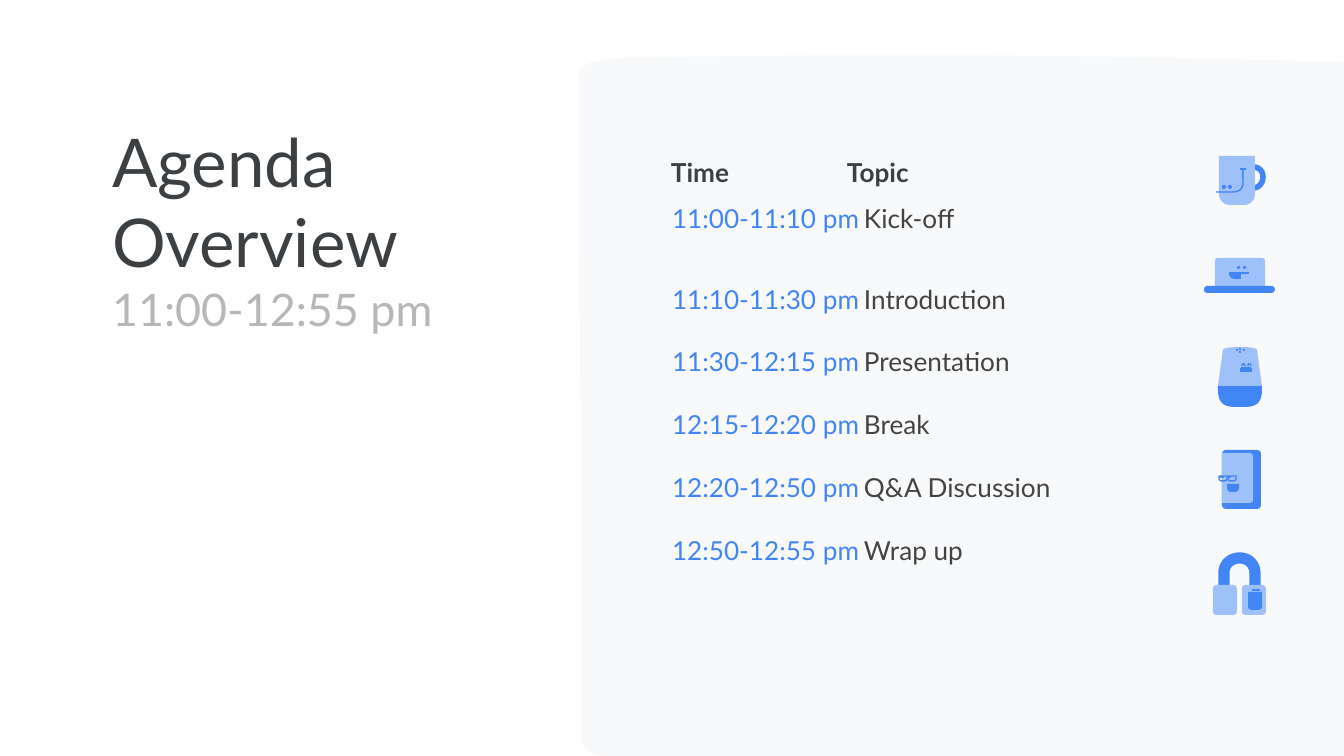
from dataclasses import dataclass

from lxml.etree import SubElement
from pptx import Presentation
from pptx.dml.color import RGBColor
from pptx.enum.shapes import MSO_CONNECTOR as Connector, MSO_SHAPE as Preset
from pptx.enum.text import MSO_ANCHOR as Anchor, MSO_AUTO_SIZE as AutoSize, PP_ALIGN as Align
from pptx.oxml.ns import qn
from pptx.util import Emu, Pt

EMU_PER_PX = 914400 / 134.4
FONT = "Lato"
PLAIN_TABLE = "{2D5ABB26-0587-4C30-8999-92F81FD0307C}"
CURVE_STEPS = 12
COLORS = {
    "panel": "F8F9FA",
    "heading": "3C4043",
    "subtitle": "B7B7B7",
    "blue": "4285F4",
    "light": "9FC1F9",
    "topic": "434343",
}


@dataclass(frozen=True)
class Part:
    preset: Preset
    box: tuple[int, int, int, int]
    color: str = "blue"
    corners: tuple[float, ...] = ()
    stroke: float = 0


@dataclass(frozen=True)
class Outline:
    start: tuple[int, int]
    segments: tuple[tuple[int, ...], ...]
    color: str = "blue"
    stroke: float = 0


@dataclass(frozen=True)
class Rule:
    start: tuple[int, int]
    end: tuple[int, int]


@dataclass(frozen=True)
class AgendaRow:
    height: int
    times: tuple[str, ...]
    topics: tuple[str, ...]
    top: int = 0


PANEL = Outline((579, 86), (
    (579, 74, 580, 70, 582, 69), (588, 60, 604, 59, 628, 58),
    (720, 56, 813, 55, 905, 55), (1048, 55, 1191, 58, 1335, 62),
    (1342, 62, 1348, 65, 1348, 70), (1348, 290, 1354, 530, 1357, 750),
    (1358, 758, 1353, 763, 1341, 763), (606, 757,),
    (595, 756, 582, 750, 582, 742), (582, 548), (579, 227),
), "panel")

MUG = (
    Outline((1253, 167), ((1259, 167, 1263, 171, 1263, 177),
                          (1263, 183, 1259, 188, 1253, 188)), stroke=3),
    Part(Preset.ROUND_2_SAME_RECTANGLE, (1219, 156, 36, 49), "light", (0, 0.3)),
    Part(Preset.OVAL, (1228, 185, 4, 4)),
    Part(Preset.OVAL, (1222, 185, 4, 4)),
    Outline((1216, 192), ((1232, 192), (1245, 192, 1243, 183, 1243, 177),
                          (1243, 169)), stroke=0.75),
    Rule((1246, 169), (1240, 169)),
)
LAPTOP = (
    Part(Preset.ROUND_2_SAME_RECTANGLE, (1215, 258, 50, 28), "light", (0.1, 0)),
    Part(Preset.ROUNDED_RECTANGLE, (1204, 286, 71, 7), corners=(0.5,)),
    Part(Preset.OVAL, (1243, 266, 3, 3)),
    Part(Preset.OVAL, (1237, 266, 3, 3)),
    Rule((1249, 273), (1229, 273)),
    Outline((1235, 273), ((1229, 273), (1229, 277, 1232, 279, 1235, 279), (1235, 273))),
    Part(Preset.RECTANGLE, (1235, 273, 6, 6)),
)
SPEAKER = (
    Outline((1218, 386), ((1218, 390), (1218, 408, 1230, 407, 1240, 407),
                          (1250, 407, 1262, 408, 1262, 390), (1262, 386), (1218, 386))),
    Outline((1240, 347), ((1231, 347, 1223, 348, 1223, 350), (1218, 386), (1262, 386),
                          (1257, 350), (1257, 348, 1249, 347, 1240, 347)), "light"),
    *(Part(Preset.OVAL, (x, y, 2, 2))
      for x, y in ((1239, 348), (1243, 349), (1236, 349), (1239, 351))),
    Part(Preset.ROUND_2_SAME_RECTANGLE, (1240, 367, 12, 5), corners=(0.5, 0)),
    *(Outline((x, 366), ((x, 363, x + 3, 363, x + 3, 366),), stroke=0.75)
      for x in (1242, 1248)),
)
NOTEBOOK = (
    Part(Preset.ROUNDED_RECTANGLE, (1222, 450, 39, 59), corners=(0.1,)),
    Outline((1222, 453), ((1222, 503), (1249, 503), (1251, 503, 1253, 502, 1253, 500),
                          (1253, 457), (1253, 454, 1251, 453, 1249, 453), (1222, 453)), "light"),
    Part(Preset.ROUND_2_SAME_RECTANGLE, (1227, 484, 12, 8), corners=(0, 0.5)),
    *(Part(Preset.ROUND_2_SAME_RECTANGLE, (x, 476, 4, 2), corners=(0.5, 0))
      for x in (1220, 1227)),
    *(Part(Preset.ROUND_2_SAME_RECTANGLE, (x, 476, 8, 5), corners=(0, 0.5), stroke=0.75)
      for x in (1219, 1228)),
)
HEADPHONES = (
    Outline((1255, 589), ((1255, 573), (1255, 564, 1248, 558, 1240, 558),
                          (1231, 558, 1224, 564, 1224, 573), (1224, 589)), stroke=6),
    *(Part(Preset.ROUNDED_RECTANGLE, (x, 585, 24, 30), "light", (0.15,))
      for x in (1242, 1213)),
    Part(Preset.ROUND_2_SAME_RECTANGLE, (1248, 592, 14, 18), corners=(0, 0.25)),
    *(Part(Preset.ROUND_2_SAME_RECTANGLE, (x, 589, 4, 2), corners=(0.5, 0))
      for x in (1252, 1256)),
)

AGENDA = (
    AgendaRow(81, ("11:00-11:10 pm",), ("Kick-off",)),
    AgendaRow(62, ("11:10-11:30 pm",), ("Introduction",)),
    AgendaRow(63, ("11:30-12:15 pm",), ("Presentation",)),
    AgendaRow(95, ("12:15-12:20 pm", "12:20-12:50 pm"), ("Break", "Q&A Discussion")),
    AgendaRow(63, ("12:50-12:55 pm",), ("Wrap up",), 31),
)


def px(length: float) -> Emu:
    return Emu(round(length * EMU_PER_PX))


def rgb(name: str) -> RGBColor:
    return RGBColor.from_string(COLORS[name])


def paint(shape, color: str, stroke: float) -> None:
    shape.shadow.inherit = False
    if stroke:
        shape.fill.background()
        shape.line.color.rgb = rgb(color)
        shape.line.width = Pt(stroke)
    else:
        shape.fill.solid()
        shape.fill.fore_color.rgb = rgb(color)
        shape.line.fill.background()


def draw_part(shapes, part: Part) -> None:
    shape = shapes.add_shape(part.preset, *map(px, part.box))
    for index, corner in enumerate(part.corners):
        shape.adjustments[index] = corner
    paint(shape, part.color, part.stroke)


def draw_outline(shapes, outline: Outline) -> None:
    points = [outline.start]
    for segment in outline.segments:
        if len(segment) == 2:
            points.append(segment)
            continue
        x0, y0 = points[-1]
        x1, y1, x2, y2, x3, y3 = segment
        for step in range(1, CURVE_STEPS + 1):
            t = step / CURVE_STEPS
            a, b, c, d = (1 - t) ** 3, 3 * t * (1 - t) ** 2, 3 * t * t * (1 - t), t ** 3
            points.append((a * x0 + b * x1 + c * x2 + d * x3,
                           a * y0 + b * y1 + c * y2 + d * y3))
    scaled = [(px(x), px(y)) for x, y in points]
    builder = shapes.build_freeform(*scaled[0])
    builder.add_line_segments(scaled[1:], close=not outline.stroke)
    paint(builder.convert_to_shape(), outline.color, outline.stroke)


def draw_rule(shapes, rule: Rule) -> None:
    connector = shapes.add_connector(Connector.STRAIGHT, *map(px, rule.start + rule.end))
    connector.line.color.rgb = rgb("blue")
    connector.line.width = Pt(0.75)
    SubElement(connector._element.spPr, qn("a:effectLst"))


DRAWERS = {Part: draw_part, Outline: draw_outline, Rule: draw_rule}


def style(paragraph, size: int, color: str, bold: bool = False) -> None:
    paragraph.alignment = Align.LEFT
    paragraph.font.name = FONT
    paragraph.font.size = Pt(size)
    paragraph.font.bold = bold
    paragraph.font.color.rgb = rgb(color)


def set_margins(target, top: int = 0, right: int = 0) -> None:
    target.margin_left = target.margin_bottom = 0
    target.margin_top, target.margin_right = px(top), px(right)


def fill_title(title) -> None:
    title.left, title.top, title.width, title.height = map(px, (112, 120, 415, 52))
    frame = title.text_frame
    frame.text = "Agenda Overview\n11:00-12:55 pm"
    frame.word_wrap = True
    frame.auto_size = AutoSize.NONE
    frame.vertical_anchor = Anchor.TOP
    set_margins(frame, right=34)
    for paragraph, size, color in zip(frame.paragraphs, (36, 24), ("heading", "subtitle")):
        style(paragraph, size, color)


def add_heading(shapes, text: str, left: int, width: int) -> None:
    frame = shapes.add_textbox(*map(px, (left, 152, width, 27))).text_frame
    frame.word_wrap = True
    set_margins(frame)
    paragraph = frame.paragraphs[0]
    paragraph.text = text
    paragraph.line_spacing = 1.13
    style(paragraph, 14, "heading", bold=True)


def add_agenda(shapes) -> None:
    height = sum(row.height for row in AGENDA)
    table = shapes.add_table(len(AGENDA), 2, *map(px, (672, 203, 512, height))).table
    table.first_row = table.horz_banding = False
    table._tbl.tblPr.find(qn("a:tableStyleId")).text = PLAIN_TABLE
    for column, width in zip(table.columns, (192, 320)):
        column.width = px(width)
    for table_row, row in zip(table.rows, AGENDA):
        table_row.height = px(row.height)
        for cell, lines, color in zip(table_row.cells, (row.times, row.topics), ("blue", "topic")):
            cell.fill.background()
            set_margins(cell, top=row.top)
            cell.text = "\n".join(lines)
            for index, paragraph in enumerate(cell.text_frame.paragraphs):
                style(paragraph, 14, color)
                paragraph.space_before = Pt(16.8 if index else 0)


def main() -> None:
    presentation = Presentation()
    presentation.slide_width, presentation.slide_height = px(1344), px(756)
    slide = presentation.slides.add_slide(presentation.slide_layouts[5])
    shapes = slide.shapes
    fill_title(shapes.title)
    draw_outline(shapes, PANEL)
    add_agenda(shapes)
    add_heading(shapes, "Time", 671, 83)
    add_heading(shapes, "Topic", 847, 155)
    for icon in (MUG, LAPTOP, SPEAKER, NOTEBOOK, HEADPHONES):
        for piece in icon:
            DRAWERS[type(piece)](shapes, piece)
    presentation.save("out.pptx")


if __name__ == "__main__":
    main()
